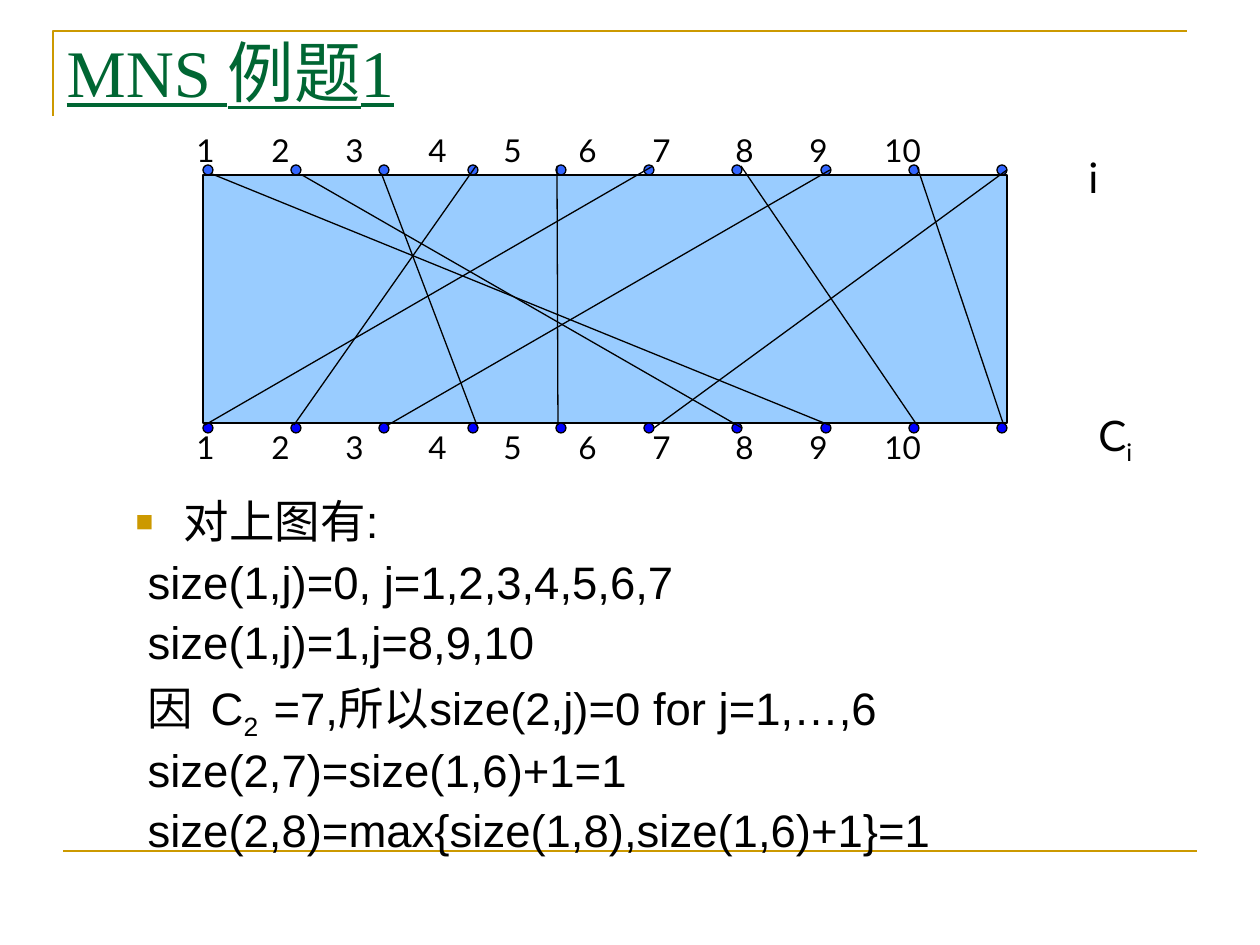
"""Build the MNS example slide: a wiring diagram above its size table steps."""
from lxml import etree
from pptx import Presentation
from pptx.dml.color import RGBColor
from pptx.enum.shapes import MSO_CONNECTOR, MSO_SHAPE
from pptx.enum.text import MSO_ANCHOR, MSO_AUTO_SIZE, PP_ALIGN
from pptx.oxml.ns import qn
from pptx.util import Pt

LINE, RECT, OVAL = MSO_CONNECTOR.STRAIGHT, MSO_SHAPE.RECTANGLE, MSO_SHAPE.OVAL
TOP, MID, LEFT = MSO_ANCHOR.TOP, MSO_ANCHOR.MIDDLE, PP_ALIGN.LEFT
FIXED = MSO_AUTO_SIZE.NONE
SCALE = 914400 / 126
COLORS = {"gold": "CC9900", "green": "006633", "ink": "000000",
          "board": "99CCFF", "upper": "3366FF", "lower": "0000FF"}

TITLE = "MNS 例题1"
STEPS = [
    ["对上图有:"],
    ["size(1,j)=0, j=1,2,3,4,5,6,7"],
    ["size(1,j)=1,j=8,9,10"],
    ["因\tC", "2", "\t=7,所以size(2,j)=0 for j=1,…,6"],
    ["size(2,7)=size(1,6)+1=1"],
    ["size(2,8)=max{size(1,8),size(1,6)+1}=1"],
]
STEP_TABS = [88, 161]
PINS = "\t".join(str(n) for n in range(1, 11))
PIN_TABS = [75, 149, 232, 307, 382, 456, 539, 613, 688]
LABELS = [
    ([PINS], (184, 422, 863, 50), 18, PIN_TABS),
    ([PINS], (184, 125, 863, 50), 18, PIN_TABS),
    (["C", "i"], (1086, 403, 69, 71), 24, []),
    (["i"], (1076, 145, 39, 63), 24, []),
]
FRAME = [(53, 116), (53, 31), (1187, 31)]
RULE = (63, 851, 1197, 851)
BOARD = (203, 175, 804, 248)
DOT, SPAN, COUNT = 10, 794, 10
ROWS = [(165, "upper"), (423, "lower")]
WIRES = [
    (212, 174, 829, 425), (382, 175, 478, 428), (476, 166, 294, 425),
    (557, 166, 558, 425), (653, 166, 205, 425), (741, 166, 917, 425),
    (830, 170, 388, 425), (1007, 170, 654, 428), (302, 175, 742, 428),
    (917, 166, 1003, 423),
]
BOX = {"word_wrap": True, "auto_size": FIXED, "vertical_anchor": TOP}
STEP = {"line_spacing": 0.9, "alignment": LEFT}


def px(*vals):
    return [round(v * SCALE) for v in vals]


def rgb(key):
    return RGBColor.from_string(COLORS[key])


def apply(obj, form):
    for key, val in form.items():
        setattr(obj, key, val)


def place(shape, box):
    apply(shape, dict(zip(("left", "top", "width", "height"), px(*box))))


def stroke(shape, key, width):
    shape.line.color.rgb = rgb(key)
    shape.line.width = Pt(width)


def write(para, parts, form, key):
    for num, part in enumerate(parts):
        run = para.add_run()
        run.text = part
        apply(run.font, form)
        run.font.color.rgb = rgb(key)
        if num == 1:
            run.font._element.set("baseline", "-25000")


def add(node, tag, **attrs):
    sub = etree.SubElement(node, qn(tag))
    for key, val in attrs.items():
        sub.set(key, str(val))
    return sub


def set_tabs(props, stops):
    if stops:
        tabs = add(props, "a:tabLst")
        for pos in px(*stops):
            add(tabs, "a:tab", pos=pos, algn="l")


def set_mark(props, first):
    left, indent = px(48, -48) if first else px(12, 0)
    props.set("marL", str(left))
    props.set("indent", str(indent))
    if first:
        add(add(props, "a:buClr"), "a:srgbClr", val=COLORS["gold"])
        add(props, "a:buSzPct", val=65000)
        add(props, "a:buFont", typeface="Arial")
        add(props, "a:buChar", char="■")
    else:
        add(props, "a:buNone")


def add_line(shapes, ends, key, width):
    wire = shapes.add_connector(LINE, *px(*ends))
    stroke(wire, key, width)
    add(wire._element.spPr, "a:effectLst")


def add_form(shapes, kind, box, key):
    shape = shapes.add_shape(kind, *px(*box))
    shape.shadow.inherit = False
    shape.fill.solid()
    shape.fill.fore_color.rgb = rgb(key)
    stroke(shape, "ink", 0.75)


def add_frame(shapes):
    pen = shapes.build_freeform(*FRAME[0], scale=SCALE)
    pen.add_line_segments(FRAME[1:], close=False)
    frame = pen.convert_to_shape()
    frame.shadow.inherit = False
    frame.fill.background()
    stroke(frame, "gold", 1.5)
    add_line(shapes, RULE, "gold", 1.5)


def add_text(title, body):
    place(title, (54, 26, 1074, 90))
    apply(title.text_frame, {**BOX, "vertical_anchor": MID})
    para = title.text_frame.paragraphs[0]
    para.alignment = LEFT
    write(para, [TITLE], {"name": "Times New Roman", "size": Pt(38),
                          "underline": True}, "green")
    place(body, (123, 493, 1052, 411))
    frame = body.text_frame
    apply(frame, BOX)
    for num, parts in enumerate(STEPS):
        para = frame.add_paragraph() if num else frame.paragraphs[0]
        apply(para, {**STEP, "space_before": Pt(6.5 if num else 0)})
        props = para._p.get_or_add_pPr()
        set_mark(props, num == 0)
        set_tabs(props, STEP_TABS if len(parts) > 1 else [])
        write(para, parts, {"name": "Arial", "size": Pt(26)}, "ink")


def add_board(shapes):
    add_form(shapes, RECT, BOARD, "board")
    for num in range(COUNT):
        left = BOARD[0] + round(SPAN * num / (COUNT - 1))
        for top, key in ROWS:
            add_form(shapes, OVAL, (left, top, DOT, DOT), key)
    for ends in WIRES:
        add_line(shapes, ends, "ink", 0.75)
    for parts, box, size, stops in LABELS:
        frame = shapes.add_textbox(*px(*box)).text_frame
        apply(frame, BOX)
        para = frame.paragraphs[0]
        set_tabs(para._p.get_or_add_pPr(), stops)
        write(para, parts, {"name": "Lato", "size": Pt(size)}, "ink")


def main():
    deck = Presentation()
    deck.slide_width, deck.slide_height = px(1260, 945)
    slide = deck.slides.add_slide(deck.slide_layouts[1])
    shapes = slide.shapes
    title, body = slide.placeholders
    add_frame(shapes)
    for holder in (title, body):
        shapes._spTree.append(holder._element)
    add_text(title, body)
    add_board(shapes)
    deck.save("out.pptx")


if __name__ == "__main__":
    main()
